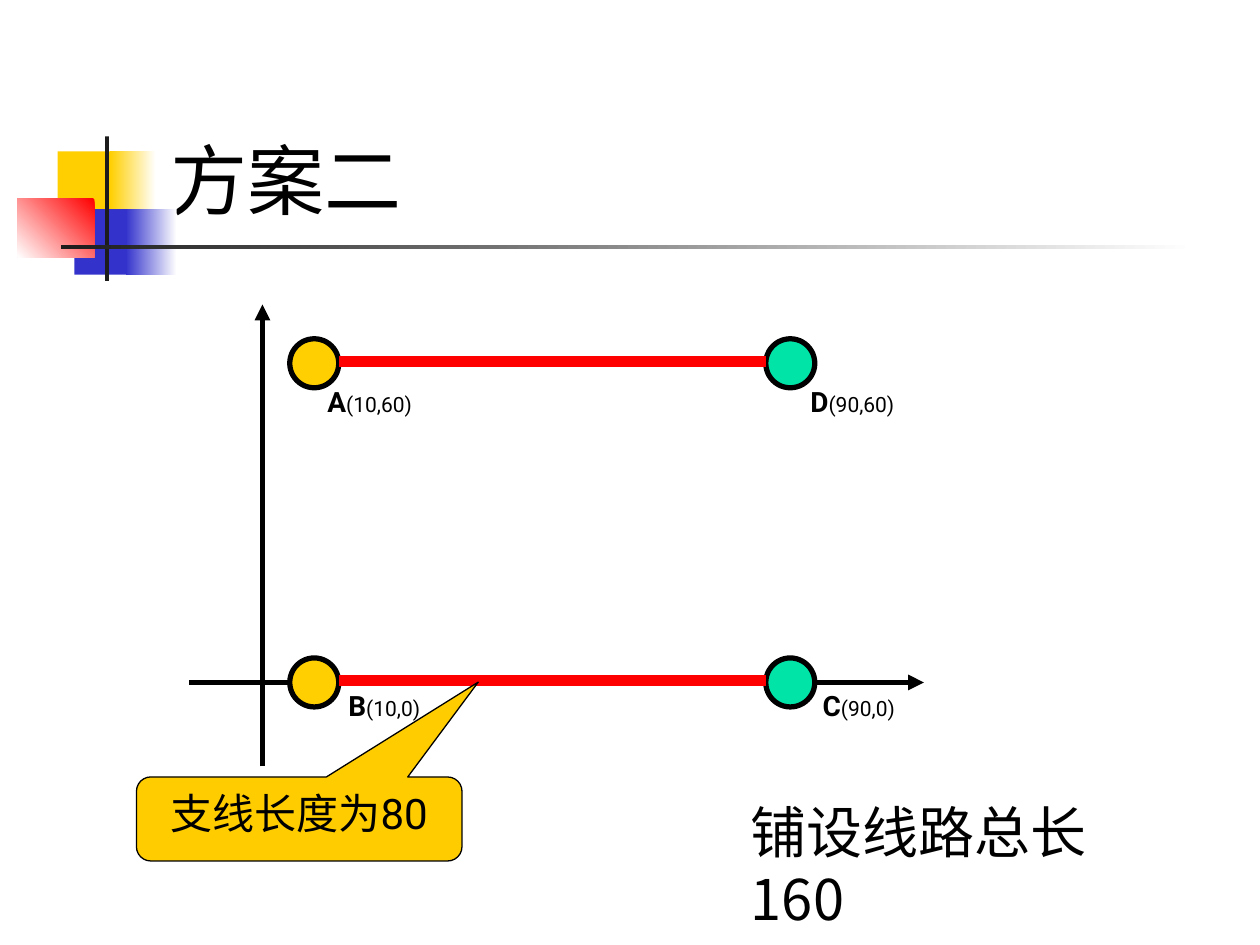
from lxml import etree
from pptx import Presentation
from pptx.dml.color import RGBColor
from pptx.enum import shapes, text
from pptx.oxml import ns
from pptx.util import Pt

BLACK = RGBColor(0x00, 0x00, 0x00)
WHITE = RGBColor(0xFF, 0xFF, 0xFF)
CHARCOAL = RGBColor(0x1C, 0x1C, 0x1C)
YELLOW = RGBColor(0xFF, 0xCF, 0x01)
GOLD = RGBColor(0xFF, 0xCC, 0x00)
GREEN = RGBColor(0x00, 0xE4, 0xA8)
BLUE = RGBColor(0x33, 0x33, 0xCC)
RED = RGBColor(0xFF, 0x00, 0x00)

LATIN, CHINESE = "Roboto", "Noto Sans CJK SC"
RADIUS = 14


class Canvas:
    """Style and drawing methods for one slide."""

    def __init__(self, slide):
        self.slide = slide

    def title(self, words, box):
        holder = self.slide.shapes.title
        holder.left, holder.top, holder.width, holder.height = map(Pt, box)
        self.set_text(holder.text_frame, words, 44)

    def set_text(self, frame, words, size, font=LATIN,
                 align=text.PP_ALIGN.LEFT):
        frame.word_wrap = True
        frame.vertical_anchor = text.MSO_ANCHOR.TOP
        line = frame.paragraphs[0]
        line.text = words
        line.alignment = align
        line.font.name, line.font.size = font, Pt(size)
        line.font.color.rgb = BLACK

    def shape(self, kind, box, fill, outline=None):
        item = self.slide.shapes.add_shape(kind, *map(Pt, box))
        item.shadow.inherit = False
        item.fill.solid()
        item.fill.fore_color.rgb = fill
        if outline:
            item.line.color.rgb, item.line.width = BLACK, Pt(outline)
        else:
            item.line.fill.background()
        return item

    def fade(self, box, start, end, angle=180):
        block = self.shape(shapes.MSO_SHAPE.RECTANGLE, box, start)
        block.fill.gradient()
        block.fill.gradient_angle = angle
        for stop, color in zip(block.fill.gradient_stops, (start, end)):
            stop.color.rgb = color

    def line(self, start, end, color, width, arrow=False):
        item = self.slide.shapes.add_connector(
            shapes.MSO_CONNECTOR.STRAIGHT, *map(Pt, start + end))
        item.line.color.rgb, item.line.width = color, Pt(width)
        properties = item._element.spPr
        if arrow:
            etree.SubElement(properties.find(ns.qn("a:ln")),
                             ns.qn("a:tailEnd"), type="triangle")
        etree.SubElement(properties, ns.qn("a:effectLst"))

    def textbox(self, box):
        return self.slide.shapes.add_textbox(*map(Pt, box)).text_frame

    def point_label(self, name, coordinates, left, top):
        frame = self.textbox((left, top, 90, 27))
        frame.word_wrap = True
        line = frame.paragraphs[0]
        line.font.name, line.font.color.rgb = LATIN, BLACK
        for words, size, bold in ((name, 16, True), (coordinates, 12, False)):
            run = line.add_run()
            run.text = words
            run.font.size, run.font.bold = Pt(size), bold


def position(x, y):
    """Centre of a plotted point, from its coordinates."""
    return 145.6 + 3.4 * x, 390 - 3.04 * y


def main():
    deck = Presentation()
    deck.slide_width, deck.slide_height = Pt(720), Pt(540)
    canvas = Canvas(deck.slides.add_slide(deck.slide_layouts[5]))

    # Corner ornament and title rule
    block = shapes.MSO_SHAPE.RECTANGLE
    canvas.shape(block, (33, 86.5, 34.5, 37.5), YELLOW)
    canvas.fade((63, 86.5, 26, 37.5), WHITE, YELLOW)
    canvas.shape(block, (42.5, 119.5, 33, 37.5), BLUE)
    canvas.fade((72, 119.5, 29, 37.5), WHITE, BLUE)
    canvas.fade((10, 113.5, 44, 33.5), RED, WHITE, 225)
    canvas.shape(block, (60, 78, 2.3, 82.5), CHARCOAL)
    canvas.fade((34.8, 140, 648, 2.5), WHITE, CHARCOAL)

    canvas.title("方案二", (90, 72, 276, 60))

    # Axes
    canvas.line((150, 438), (150, 174), BLACK, 3, arrow=True)
    canvas.line((108, 390), (528, 390), BLACK, 3, arrow=True)

    # Points and their labels
    points = (
        ("A", 10, 60, YELLOW, 180, 216),
        ("B", 10, 0, YELLOW, 192, 390),
        ("C", 90, 0, GREEN, 463, 390),
        ("D", 90, 60, GREEN, 456, 216),
    )
    for name, x, y, color, label_left, label_top in points:
        center_x, center_y = position(x, y)
        canvas.shape(shapes.MSO_SHAPE.OVAL,
                     (center_x - RADIUS, center_y - RADIUS,
                      2 * RADIUS, 2 * RADIUS), color, 3)
        canvas.point_label(name, f"({x},{y})", label_left, label_top)

    # Branch lines A–D and B–C
    for y in (60, 0):
        (start, level), (end, _) = position(10, y), position(90, y)
        canvas.line((start + RADIUS, level - 1), (end - RADIUS, level - 1),
                    RED, 6)

    # Total length
    total = canvas.textbox((422, 452, 230, 46))
    canvas.set_text(total, "铺设线路总长160", 32, CHINESE)

    # Branch length callout
    branch = canvas.shape(shapes.MSO_SHAPE.ROUNDED_RECTANGULAR_CALLOUT,
                          (78, 444, 186, 48), GOLD, 0.75)
    for index, value in enumerate((0.55, -1.63, 0.17)):
        branch.adjustments[index] = value
    canvas.set_text(branch.text_frame, "支线长度为80", 24,
                    align=text.PP_ALIGN.CENTER)

    deck.save("out.pptx")


if __name__ == "__main__":
    main()
